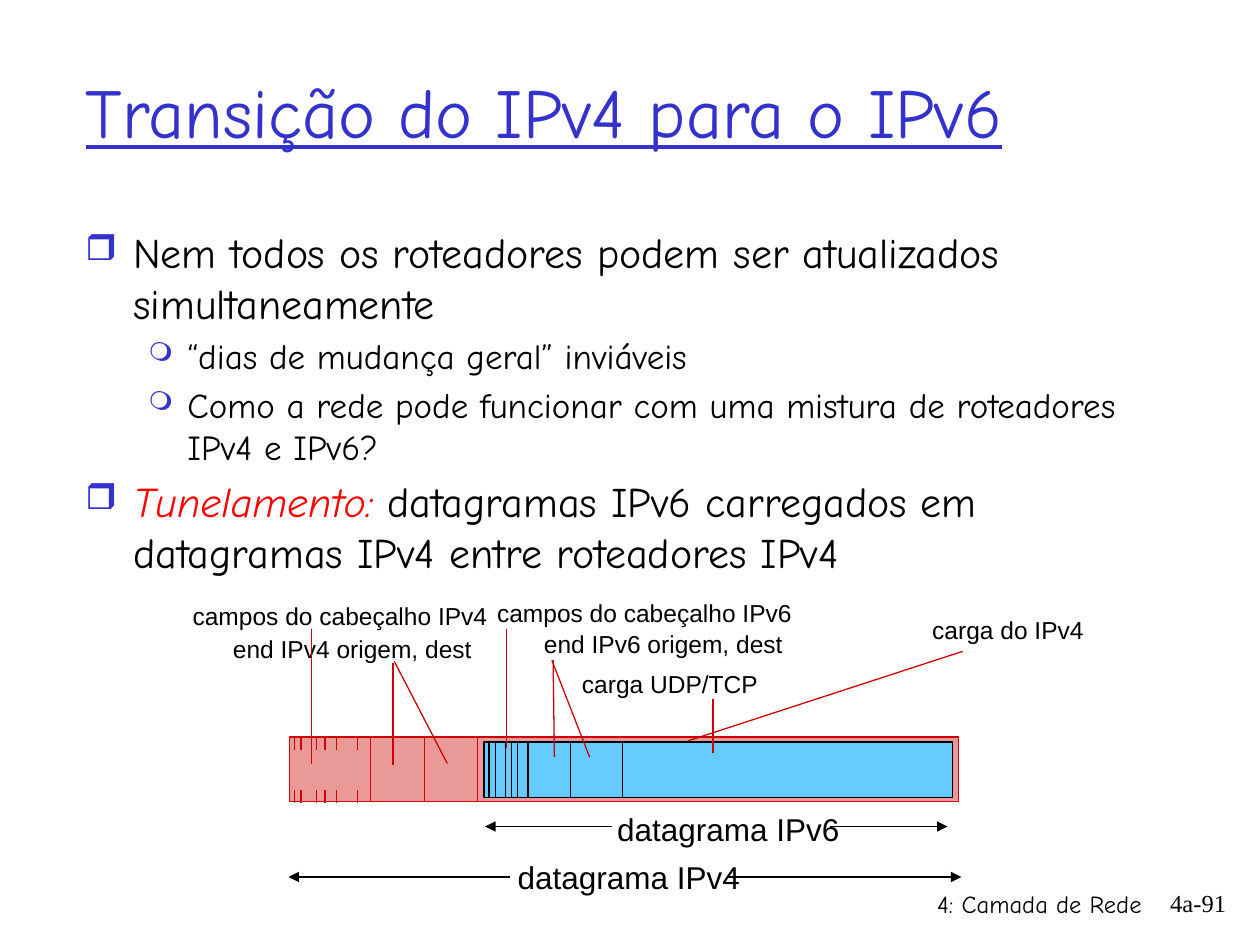
from dataclasses import dataclass

from lxml import etree
from pptx import Presentation
from pptx.dml.color import RGBColor
from pptx.enum.shapes import MSO_CONNECTOR, MSO_SHAPE
from pptx.enum.text import MSO_ANCHOR, MSO_AUTO_SIZE, PP_ALIGN
from pptx.oxml.ns import qn
from pptx.util import Inches, Pt

STRAIGHT = MSO_CONNECTOR.STRAIGHT
RECTANGLE = MSO_SHAPE.RECTANGLE
LEFT, CENTER, RIGHT = PP_ALIGN.LEFT, PP_ALIGN.CENTER, PP_ALIGN.RIGHT
MIDDLE = MSO_ANCHOR.MIDDLE
NO_AUTOFIT = MSO_AUTO_SIZE.NONE


@dataclass(frozen=True)
class Theme:
    black: RGBColor = RGBColor(0x00, 0x00, 0x00)
    white: RGBColor = RGBColor(0xFF, 0xFF, 0xFF)
    blue: RGBColor = RGBColor(0x33, 0x33, 0xCC)
    red: RGBColor = RGBColor(0xFF, 0x00, 0x00)
    header: RGBColor = RGBColor(0xCC, 0x00, 0x00)
    payload: RGBColor = RGBColor(0x66, 0xCC, 0xFF)
    title_size: int = 40
    point_size: int = 24
    subpoint_size: int = 20
    datagram_size: int = 18
    label_size: int = 14
    hand_font: str = "Comic Neue"
    label_font: str = "Arial"
    number_font: str = "Times New Roman"


theme = Theme()

presentation = Presentation()
presentation.slide_width = Inches(10)
presentation.slide_height = Inches(7.5)
slide = presentation.slides.add_slide(presentation.slide_layouts[5])


def write_text(paragraph, text, size, font=theme.label_font, color=theme.black,
               align=LEFT, italic=False, underline=False):
    paragraph.alignment = align
    run = paragraph.add_run()
    run.text = text
    run.font.size = Pt(size)
    run.font.name = font
    run.font.color.rgb = color
    run.font.italic = italic
    run.font.underline = underline


def add_line(start_x, start_y, end_x, end_y, color=theme.header, arrow=False):
    line = slide.shapes.add_connector(
        STRAIGHT, Inches(start_x), Inches(start_y), Inches(end_x), Inches(end_y))
    line.line.color.rgb = color
    line.line.width = Pt(0.75)
    if arrow:
        etree.SubElement(line.line._get_or_add_ln(), qn("a:tailEnd"), type="triangle")
    etree.SubElement(line._element.spPr, qn("a:effectLst"))


title = slide.shapes.title
title.left, title.top = Inches(0.58), Inches(0.25)
title.width, title.height = Inches(8.5), Inches(1.25)
title.text_frame.word_wrap = True
title.text_frame.auto_size = NO_AUTOFIT
title.text_frame.vertical_anchor = MIDDLE
write_text(title.text_frame.paragraphs[0], "Transição do IPv4 para o IPv6",
           theme.title_size, font=theme.hand_font, color=theme.blue, underline=True)

body = slide.shapes.add_textbox(Inches(0.58), Inches(1.75), Inches(8.5), Inches(5.08))
body.text_frame.word_wrap = True
bullet_levels = [
    ("❒", 85, 0.38, 0.38, theme.point_size),
    ("❍", 75, 0.81, 0.31, theme.subpoint_size),
]
points = [
    (0, "", "Nem todos os roteadores podem ser atualizados simultaneamente"),
    (1, "", "“dias de mudança geral” inviáveis"),
    (1, "", "Como a rede pode funcionar com uma mistura de roteadores IPv4 e IPv6?"),
    (0, "Tunelamento: ", "datagramas IPv6 carregados em datagramas IPv4 entre roteadores IPv4"),
]
for index, (level, term, text) in enumerate(points):
    bullet, scale, margin, hanging, size = bullet_levels[level]
    paragraph = body.text_frame.add_paragraph() if index else body.text_frame.paragraphs[0]
    paragraph.level = level
    paragraph.space_before = Pt(0.2 * size)
    if term:
        write_text(paragraph, term, size, font=theme.hand_font, color=theme.red, italic=True)
    write_text(paragraph, text, size, font=theme.hand_font)
    properties = paragraph._p.get_or_add_pPr()
    properties.set("marL", str(Inches(margin)))
    properties.set("indent", str(-Inches(hanging)))
    bullet_color = etree.SubElement(properties, qn("a:buClr"))
    etree.SubElement(bullet_color, qn("a:srgbClr"), val=str(theme.blue))
    etree.SubElement(properties, qn("a:buSzPct"), val=str(scale * 1000))
    etree.SubElement(properties, qn("a:buChar"), char=bullet)

ipv4_datagram = slide.shapes.add_shape(
    RECTANGLE, Inches(2.3), Inches(5.85), Inches(5.31), Inches(0.51))
ipv4_datagram.shadow.inherit = False
ipv4_datagram.fill.solid()
ipv4_datagram.fill.fore_color.rgb = theme.header
fill_color = ipv4_datagram._element.spPr.find(qn("a:solidFill"))[0]
etree.SubElement(fill_color, qn("a:alpha"), val="40000")
ipv4_datagram.line.color.rgb = theme.header
ipv4_datagram.line.width = Pt(0.75)

for x in (2.94, 3.37, 3.79):
    add_line(x, 5.85, x, 6.36)
for x in (2.34, 2.39, 2.51, 2.58, 2.67, 2.84):
    for top in (5.85, 6.27):
        add_line(x, top, x, top + 0.1)

ipv6_datagram = slide.shapes.add_shape(
    RECTANGLE, Inches(3.84), Inches(5.89), Inches(3.72), Inches(0.44))
ipv6_datagram.shadow.inherit = False
ipv6_datagram.fill.solid()
ipv6_datagram.fill.fore_color.rgb = theme.payload
ipv6_datagram.line.color.rgb = theme.black
ipv6_datagram.line.width = Pt(1)

for x in (3.88, 3.93, 4.01, 4.06, 4.11, 4.19, 4.53, 4.94):
    add_line(x, 5.89, x, 6.33, color=theme.black)

labels = [
    ("end IPv4 origem, dest", 1.75, 4.98, 2.11, 0.34, LEFT, 1),
    ("campos do cabeçalho IPv4", 1.43, 4.72, 2.55, 0.34, LEFT, 1),
    ("carga do IPv4", 7.3, 4.83, 1.41, 0.34, LEFT, 1),
    ("carga UDP/TCP", 4.52, 5.26, 1.61, 0.34, LEFT, 1),
    ("end IPv6 origem, dest", 4.21, 4.98, 2.11, 0.3, CENTER, 0.85),
    ("campos do cabeçalho IPv6", 3.84, 4.73, 2.55, 0.3, CENTER, 0.85),
]
for text, left, top, width, height, align, spacing in labels:
    label = slide.shapes.add_textbox(Inches(left), Inches(top), Inches(width), Inches(height))
    label.text_frame.word_wrap = False
    paragraph = label.text_frame.paragraphs[0]
    paragraph.line_spacing = spacing
    write_text(paragraph, text, theme.label_size, align=align)

pointers = [
    (3.12, 5.26, 3.12, 6.07),
    (3.13, 5.25, 3.55, 6.06),
    (2.47, 4.99, 2.47, 6.06),
    (7.64, 5.17, 5.46, 5.88),
    (4.39, 5.24, 4.4, 6.01),
    (4.38, 5.24, 4.68, 6.01),
    (4.02, 4.99, 4.02, 5.94),
    (5.66, 5.55, 5.66, 5.98),
]
for pointer in pointers:
    add_line(*pointer)

spans = [
    ("datagrama IPv4", 4.01, 6.76, 6.96, (4.05, 2.29), (5.78, 7.63)),
    ("datagrama IPv6", 4.8, 6.38, 6.56, (4.86, 3.85), (6.59, 7.52)),
]
for text, left, top, arrow_y, *arrows in spans:
    span = slide.shapes.add_textbox(Inches(left), Inches(top), Inches(1.98), Inches(0.4))
    span.fill.solid()
    span.fill.fore_color.rgb = theme.white
    span.text_frame.word_wrap = False
    write_text(span.text_frame.paragraphs[0], text, theme.datagram_size)
    for start_x, end_x in arrows:
        add_line(start_x, arrow_y, end_x, arrow_y, color=theme.black, arrow=True)

footers = [
    ("4: Camada de Rede", 5.99, 7.01, 3.17, theme.hand_font),
    ("4a-91", 8.93, 7, 0.9, theme.number_font),
]
for text, left, top, width, font in footers:
    footer = slide.shapes.add_textbox(Inches(left), Inches(top), Inches(width), Inches(0.5))
    footer.text_frame.word_wrap = True
    write_text(footer.text_frame.paragraphs[0], text, theme.label_size, font=font, align=RIGHT)

presentation.save("out.pptx")
